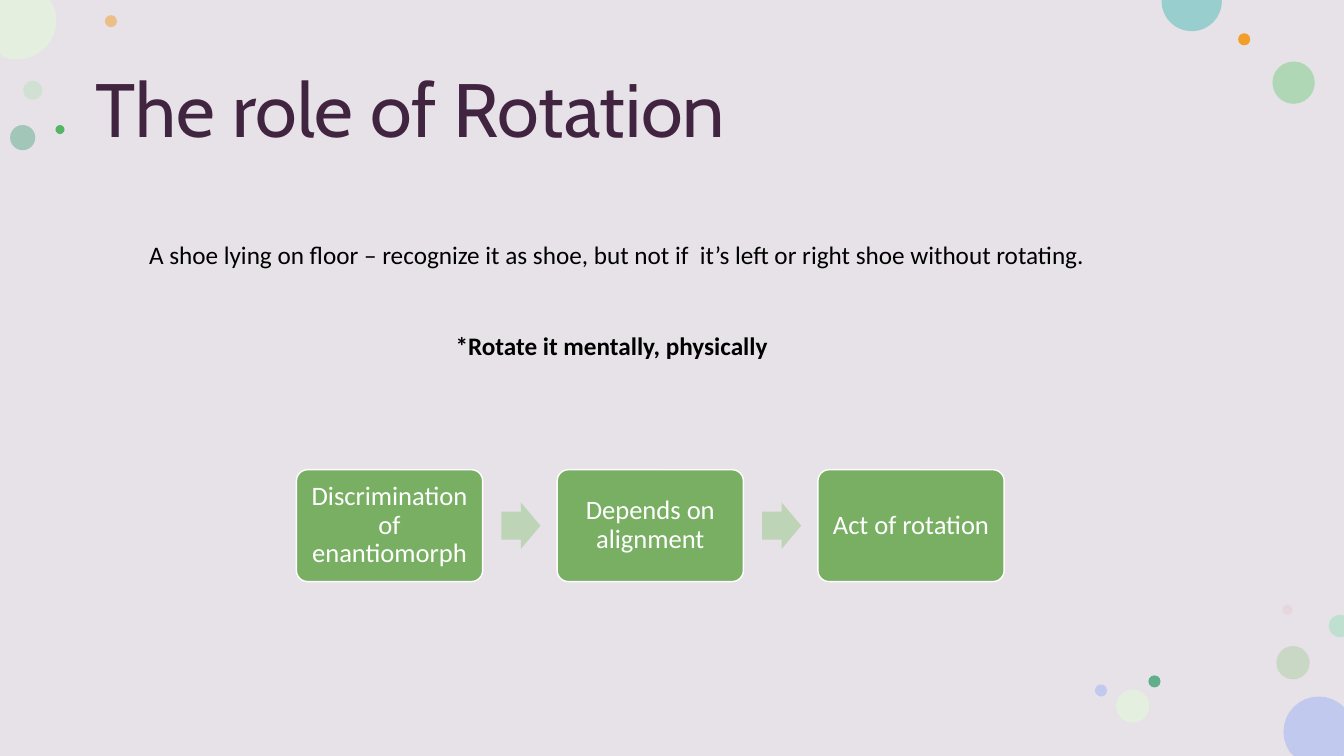
from dataclasses import dataclass
from math import cos, pi, sin

from lxml import etree
from pptx import Presentation
from pptx.dml.color import RGBColor
from pptx.enum import shapes, text
from pptx.oxml.ns import qn
from pptx.util import Inches, Pt

WIDTH, HEIGHT = 13.33, 7.5


@dataclass(frozen=True)
class Theme:
    background: str = "E6E2E8"
    title: str = "412440"
    body: str = "000000"
    step: str = "78AF63"
    arrow: str = "BED4B7"
    light: str = "FFFFFF"
    title_font: str = "Cabin"
    body_font: str = "Calibri"
    title_size: int = 54
    body_size: int = 18
    step_size: int = 19


THEME = Theme()

# Whole dots: left, top, diameter, colour, opacity in percent
DOTS = [
    (0.23, 0.80, 0.19, "BBE1C1", 50),
    (1.04, 0.15, 0.12, "F39E29", 50),
    (12.66, 6.41, 0.33, "AECFA1", 50),
    (0.10, 1.24, 0.25, "5FAE8C", 50),
    (12.62, 0.61, 0.42, "9AD3A2", 72),
    (12.28, 0.33, 0.12, "F39E29", 100),
    (12.72, 6.00, 0.10, "E3BEBE", 28),
    (11.39, 6.70, 0.12, "5FAE8C", 100),
    (11.07, 6.84, 0.33, "E4EFE0", 100),
    (10.86, 6.79, 0.12, "C1CAEE", 100),
    (0.55, 1.24, 0.09, "56B564", 100),
]
# Dots cut off by the slide edge: centre x, centre y, radius, colour
EDGE_DOTS = [
    (13.08, 7.26, 0.35, "C1CAEE"),
    (0.17, 0.20, 0.39, "E4EFE0"),
    (11.82, 0.01, 0.30, "98CFCE"),
    (13.29, 6.21, 0.11, "BFDFD1"),
]
OUTLINE_POINTS = 32
STEPS = ["Discrimination of enantiomorph", "Depends on alignment", "Act of rotation"]


def paint(shape, colour, opacity=100, outline=None):
    shape.shadow.inherit = False
    shape.fill.solid()
    shape.fill.fore_color.rgb = RGBColor.from_string(colour)
    if opacity < 100:
        colour_element = shape.fill._xPr.find(qn("a:solidFill"))[0]
        etree.SubElement(colour_element, qn("a:alpha"), val=str(opacity * 1000))
    if outline:
        shape.line.color.rgb = RGBColor.from_string(outline)
        shape.line.width = Pt(1)
    else:
        shape.line.fill.background()


def add_shape(slide, kind, box, colour, opacity=100, outline=None):
    shape = slide.shapes.add_shape(kind, *map(Inches, box))
    paint(shape, colour, opacity, outline)
    return shape


def write(frame, words, font_name, size, colour, bold=False):
    paragraph = frame.paragraphs[0]
    run = paragraph.add_run()
    run.text = words
    run.font.name = font_name
    run.font.size = Pt(size)
    run.font.bold = bold
    run.font.color.rgb = RGBColor.from_string(colour)
    return paragraph


def add_backdrop(slide, box):
    add_shape(slide, shapes.MSO_SHAPE.RECTANGLE, box, THEME.background)

    for left, top, diameter, colour, opacity in DOTS:
        add_shape(slide, shapes.MSO_SHAPE.OVAL, (left, top, diameter, diameter), colour, opacity)

    # Hold each outline inside the slide and drop repeated points
    for centre_x, centre_y, radius, colour in EDGE_DOTS:
        angles = [2 * pi * turn / OUTLINE_POINTS for turn in range(OUTLINE_POINTS)]
        points = list(dict.fromkeys(
            (Inches(min(max(centre_x + radius * cos(angle), 0), WIDTH)),
             Inches(min(max(centre_y + radius * sin(angle), 0), HEIGHT)))
            for angle in angles
        ))
        builder = slide.shapes.build_freeform(*points[0])
        builder.add_line_segments(points[1:], close=True)
        paint(builder.convert_to_shape(), colour)


def add_title(slide, box, words):
    frame = slide.shapes.add_textbox(*map(Inches, box)).text_frame
    frame.word_wrap = True
    frame.vertical_anchor = text.MSO_ANCHOR.MIDDLE
    paragraph = write(frame, words, THEME.title_font, THEME.title_size, THEME.title)
    paragraph.line_spacing = 0.9


def add_statement(slide, box, words, bold=False):
    frame = slide.shapes.add_textbox(*map(Inches, box)).text_frame
    frame.word_wrap = False
    frame.auto_size = text.MSO_AUTO_SIZE.SHAPE_TO_FIT_TEXT
    write(frame, words, THEME.body_font, THEME.body_size, THEME.body, bold)


def add_process(slide, box, steps):
    left, top, width, height = box
    # A gap is 0.4 of a step's width
    step_width = width / (len(steps) + 0.4 * (len(steps) - 1))
    arrow_width, arrow_height = 0.21 * step_width, 0.25 * step_width

    for index, words in enumerate(steps):
        step_left = left + index * 1.4 * step_width
        step = add_shape(slide, shapes.MSO_SHAPE.ROUNDED_RECTANGLE,
                         (step_left, top, step_width, height), THEME.step, outline=THEME.light)
        step.adjustments[0] = 0.1
        frame = step.text_frame
        frame.word_wrap = True
        frame.vertical_anchor = text.MSO_ANCHOR.MIDDLE
        frame.margin_left = frame.margin_right = Inches(0.08)
        frame.margin_top = frame.margin_bottom = Inches(0.08)
        paragraph = write(frame, words, THEME.body_font, THEME.step_size, THEME.light)
        paragraph.alignment = text.PP_ALIGN.CENTER
        paragraph.line_spacing = 0.9

        # Arrow to the next step
        if index < len(steps) - 1:
            arrow_box = (step_left + 1.1 * step_width, top + (height - arrow_height) / 2,
                         arrow_width, arrow_height)
            arrow = add_shape(slide, shapes.MSO_SHAPE.RIGHT_ARROW, arrow_box, THEME.arrow)
            arrow.adjustments[0] = 0.6
            arrow.adjustments[1] = 0.5


def main():
    presentation = Presentation()
    presentation.slide_width, presentation.slide_height = Inches(WIDTH), Inches(HEIGHT)
    slide = presentation.slides.add_slide(presentation.slide_layouts[6])

    add_backdrop(slide, (0, 0, WIDTH, HEIGHT))
    add_title(slide, (0.85, 0.4, 11.66, 1.45), "The role of Rotation")
    add_statement(slide, (1.38, 2.33, 9.54, 0.4),
                  "A shoe lying on floor – recognize it as shoe, but not if  it’s left "
                  "or right shoe without rotating.")
    add_statement(slide, (4.42, 3.23, 3.32, 0.4), "*Rotate it mentally, physically", bold=True)
    add_process(slide, (2.94, 4.66, 7.02, 1.11), STEPS)

    presentation.save("out.pptx")


if __name__ == "__main__":
    main()
